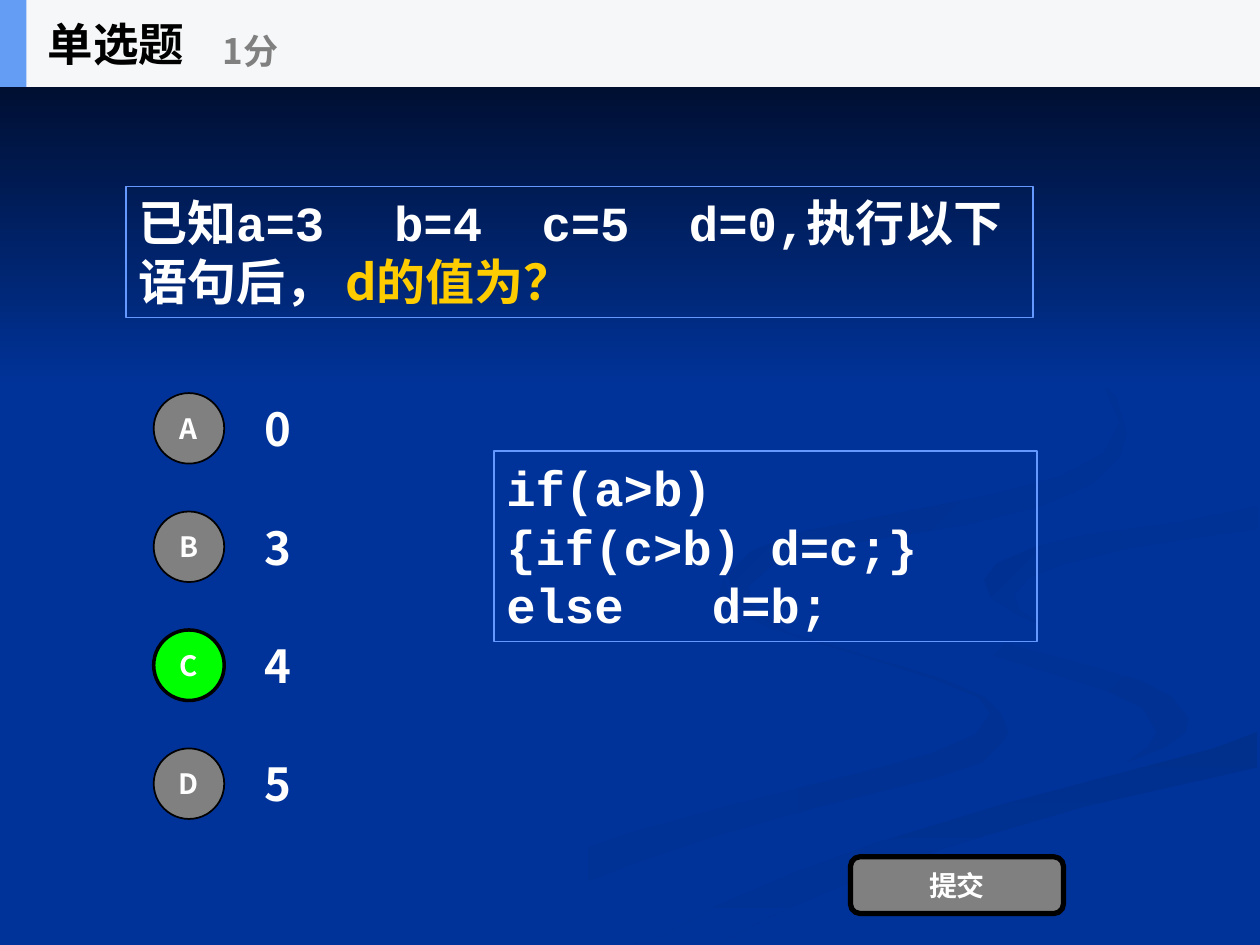
from pptx import Presentation
from pptx.dml.color import RGBColor
from pptx.enum.shapes import MSO_SHAPE
from pptx.enum.text import MSO_ANCHOR, PP_ALIGN
from pptx.oxml.ns import qn
from pptx.util import Inches, Pt
from lxml.etree import SubElement

THEME = {
    "background": "003399", "night": "000514", "text": "FFFFFF", "accent": "FFCC00",
    "frame": "6699FF", "band": "F6F7F8", "stripe": "639EF4", "ink": "000000",
    "muted": "808080", "chosen": "00FF00",
    "sans": "Noto Sans CJK SC", "code": "Courier New",
    "title_size": 26, "points_size": 20, "option_size": 26, "label_size": 16, "body_size": 28,
}

TITLE, POINTS, SUBMIT = "单选题", "1分", "提交"
QUESTION = ["已知a=3\tb=4\tc=5\td=0,执行以下语句后， ", "d的值为？"]
CODE = ["if(a>b)", "{if(c>b) d=c;}", "else   d=b;"]
OPTIONS = [("A", "0"), ("B", "3"), ("C", "4"), ("D", "5")]
ANSWER = "C"

SWIRLS = [
    ("003399", "003193", 0, [
        (7.81, 5.53), (7.45, 5.38), (6.82, 5.19), (6.26, 5.02), (5.94, 4.85), (5.79, 4.73),
        (5.75, 4.59), (5.7, 4.72), (5.81, 4.84), (6.11, 4.99), (6.79, 5.19), (7.41, 5.39),
        (7.76, 5.53), (7.86, 5.66), (7.74, 5.83), (7.39, 5.98), (6.84, 6.13), (5.79, 6.39),
        (4.99, 6.61), (4.17, 6.9), (3.38, 7.27), (3, 7.49), (3.61, 7.49), (4.31, 7.14),
        (4.99, 6.87), (5.64, 6.65), (6.51, 6.4), (7.4, 6.18), (7.8, 6.05), (7.97, 5.88),
        (8, 5.81), (7.95, 5.67)]),
    ("003399", "003193", 45, [
        (9.43, 5.7), (9.3, 5.53), (9.05, 5.4), (8.5, 5.24), (7.92, 5.09), (7.58, 4.98),
        (7.33, 4.83), (7.24, 4.64), (7.27, 4.79), (7.46, 5), (7.81, 5.18), (8.38, 5.36),
        (8.8, 5.49), (9.07, 5.62), (9.18, 5.81), (9.11, 5.93), (8.94, 6.05), (9.25, 5.93),
        (9.41, 5.81)]),
    ("002F8C", "003399", 90, [
        (5.03, 7.49), (5.71, 7.49), (6.14, 7.26), (6.7, 7.02), (7.52, 6.72), (8.61, 6.4),
        (9.98, 6.09), (9.98, 5.81), (9.63, 5.94), (9.03, 6.1), (7.97, 6.38), (6.96, 6.69),
        (6.3, 6.93), (5.69, 7.19), (5.19, 7.47)]),
    ("003091", "003399", 45, [
        (7.81, 4.6), (7.86, 4.74), (8.06, 4.87), (8.26, 4.96), (8.09, 4.84), (8.05, 4.72),
        (8.16, 4.59), (8.43, 4.48), (8.96, 4.35), (9.54, 4.26), (9.98, 4.2), (9.98, 4.02),
        (9.33, 4.15), (8.65, 4.24), (8.21, 4.34), (7.91, 4.47)]),
    ("002F8E", "003399", 45, [
        (6.83, 4.3), (7.64, 4.17), (8.25, 4.02), (8.67, 3.84), (8.89, 3.62), (8.94, 3.44),
        (8.86, 3.16), (8.64, 2.91), (8.21, 2.61), (7.8, 2.41), (7.62, 2.33), (8.05, 2.54),
        (8.46, 2.79), (8.76, 3.06), (8.89, 3.35), (8.76, 3.6), (8.42, 3.78), (7.91, 3.92),
        (7.04, 4.09), (6.37, 4.22), (5.97, 4.37), (5.78, 4.56), (5.84, 4.79), (6.22, 5),
        (5.97, 4.8), (5.94, 4.65), (6.14, 4.48), (6.49, 4.36)]),
]


def color(name):
    return RGBColor.from_string(THEME.get(name, name))


def style(font, size, ink, face="sans"):
    font.size, font.bold, font.name = Pt(THEME[size]), True, THEME[face]
    font.color.rgb = color(ink)
    SubElement(font._element, qn("a:ea"), typeface=THEME["sans"])


def paint(shape, fill=None, line=None, width=1):
    shape.shadow.inherit = False
    if fill:
        shape.fill.solid()
        shape.fill.fore_color.rgb = color(fill)
    else:
        shape.fill.background()
    if line:
        shape.line.color.rgb = color(line)
        shape.line.width = Pt(width)
    else:
        shape.line.fill.background()


def shade(shape, start, end, angle):
    paint(shape)
    shape.fill.gradient()
    shape.fill.gradient_angle = (360 - angle) % 360
    for stop, name in zip(shape.fill.gradient_stops, (start, end)):
        stop.color.rgb = color(name)


def add_shape(slide, kind, box, **look):
    shape = slide.shapes.add_shape(kind, *map(Inches, box))
    paint(shape, **look)
    return shape


def write(shape, lines, size, ink="text", face="sans", align=PP_ALIGN.LEFT,
          anchor=MSO_ANCHOR.MIDDLE, wrap=True):
    frame = shape.text_frame
    frame.word_wrap, frame.vertical_anchor = wrap, anchor
    frame.text = "\n".join(lines)
    for paragraph in frame.paragraphs:
        paragraph.alignment = align
        style(paragraph.font, size, ink, face)
        for run in paragraph.runs:
            style(run.font, size, ink, face)
    return frame


def add_label(slide, kind, box, text, **look):
    label = add_shape(slide, kind, box, **look)
    frame = write(label, [text], "label_size", align=PP_ALIGN.CENTER)
    frame.margin_left = frame.margin_right = frame.margin_top = frame.margin_bottom = 0


def add_backdrop(slide):
    slide.background.fill.solid()
    slide.background.fill.fore_color.rgb = color("background")
    for start, end, angle, outline in SWIRLS:
        first, *rest = [(Inches(x), Inches(y)) for x, y in outline]
        builder = slide.shapes.build_freeform(*first)
        builder.add_line_segments(rest)
        shade(builder.convert_to_shape(), start, end, angle)
    sky = add_shape(slide, MSO_SHAPE.RECTANGLE, (0, 0, 10, 3.08))
    shade(sky, "night", "background", 90)


def add_options(slide, top=3.05, pitch=0.94):
    for row, (letter, value) in enumerate(OPTIONS):
        y = top + row * pitch
        chosen = letter == ANSWER
        option = slide.shapes.add_textbox(*map(Inches, (2, y, 1.58, 0.7)))
        write(option, [value], "option_size")
        add_label(slide, MSO_SHAPE.OVAL, (1.22, y + 0.07, 0.56, 0.56), letter,
                  fill="chosen" if chosen else "muted", line="ink", width=2 if chosen else 1)


def add_question(slide):
    question = add_shape(slide, MSO_SHAPE.RECTANGLE, (1, 1.48, 7.2, 1.04), line="frame", width=0.75)
    known, asked = QUESTION
    frame = write(question, [known], "body_size", face="code", anchor=MSO_ANCHOR.TOP)
    paragraph = frame.paragraphs[0]
    properties = paragraph._p.get_or_add_pPr()
    tabs = SubElement(properties, qn("a:tabLst"))
    properties.insert(0, tabs)
    for step in range(3):
        SubElement(tabs, qn("a:tab"), pos=str(Inches(2.03 + 1.17 * step)), algn="l")
    run = paragraph.add_run()
    run.text = asked
    style(run.font, "body_size", "accent")


def add_header(slide):
    add_shape(slide, MSO_SHAPE.RECTANGLE, (0, 0, 10, 0.69), fill="band")
    add_shape(slide, MSO_SHAPE.RECTANGLE, (0, 0, 0.21, 0.69), fill="stripe")
    title = slide.shapes.title
    title.left, title.top, title.width, title.height = map(Inches, (0.28, 0, 2.08, 0.69))
    write(title, [TITLE], "title_size", "ink", wrap=False)
    slide.shapes._spTree.append(title._element)
    points = slide.shapes.add_textbox(*map(Inches, (1.67, 0.12, 2.5, 0.56)))
    write(points, [POINTS], "points_size", "muted", wrap=False)


def main():
    deck = Presentation()
    deck.slide_width, deck.slide_height = Inches(10), Inches(7.5)
    slide = deck.slides.add_slide(deck.slide_layouts[5])
    add_backdrop(slide)
    add_options(slide)
    add_label(slide, MSO_SHAPE.ROUNDED_RECTANGLE, (6.75, 6.8, 1.69, 0.45), SUBMIT,
              fill="muted", line="ink", width=3)
    add_question(slide)
    code = add_shape(slide, MSO_SHAPE.RECTANGLE, (3.92, 3.58, 4.31, 1.51), line="frame", width=0.75)
    write(code, CODE, "body_size", face="code", anchor=MSO_ANCHOR.TOP)
    add_header(slide)
    deck.save("out.pptx")


if __name__ == "__main__":
    main()
